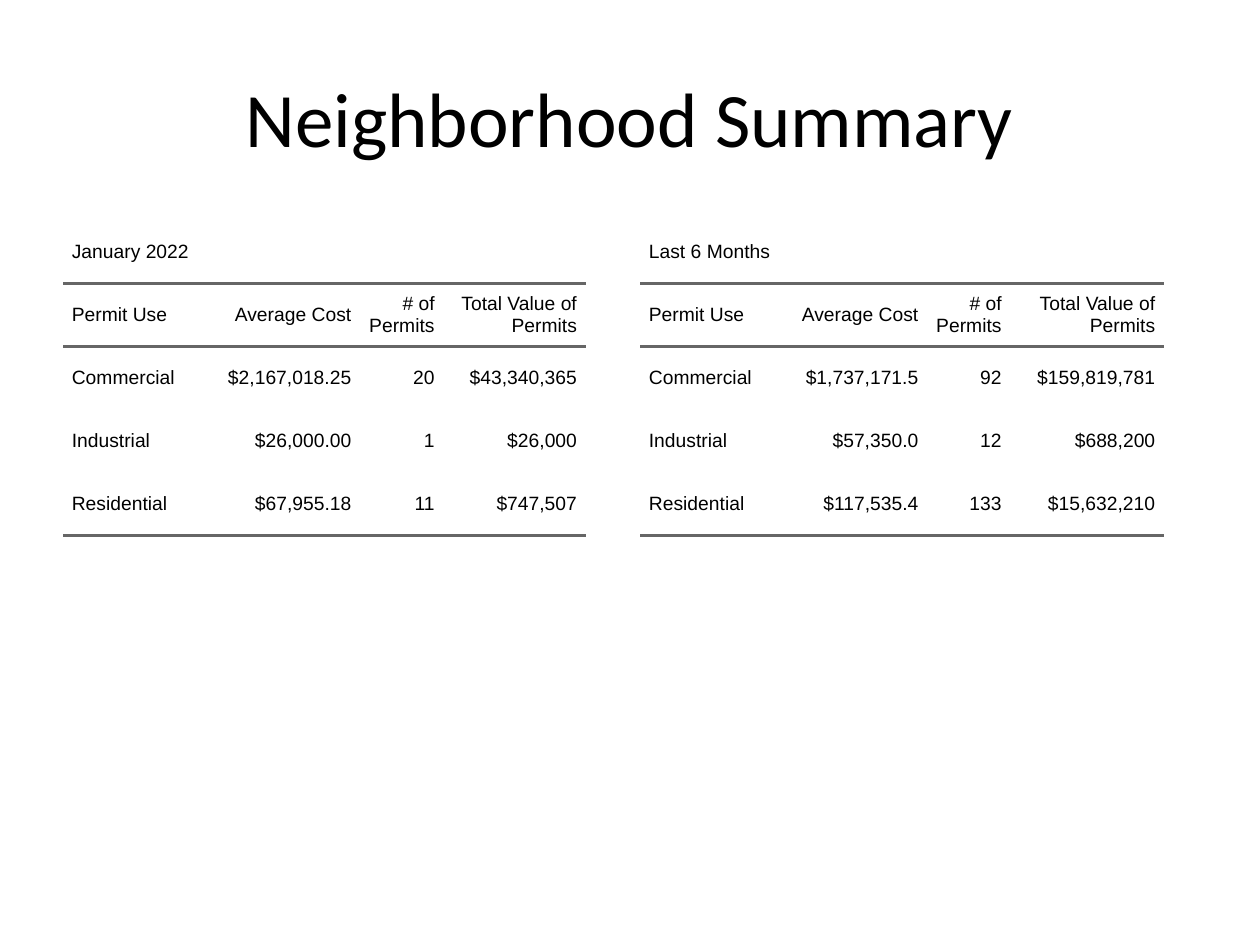
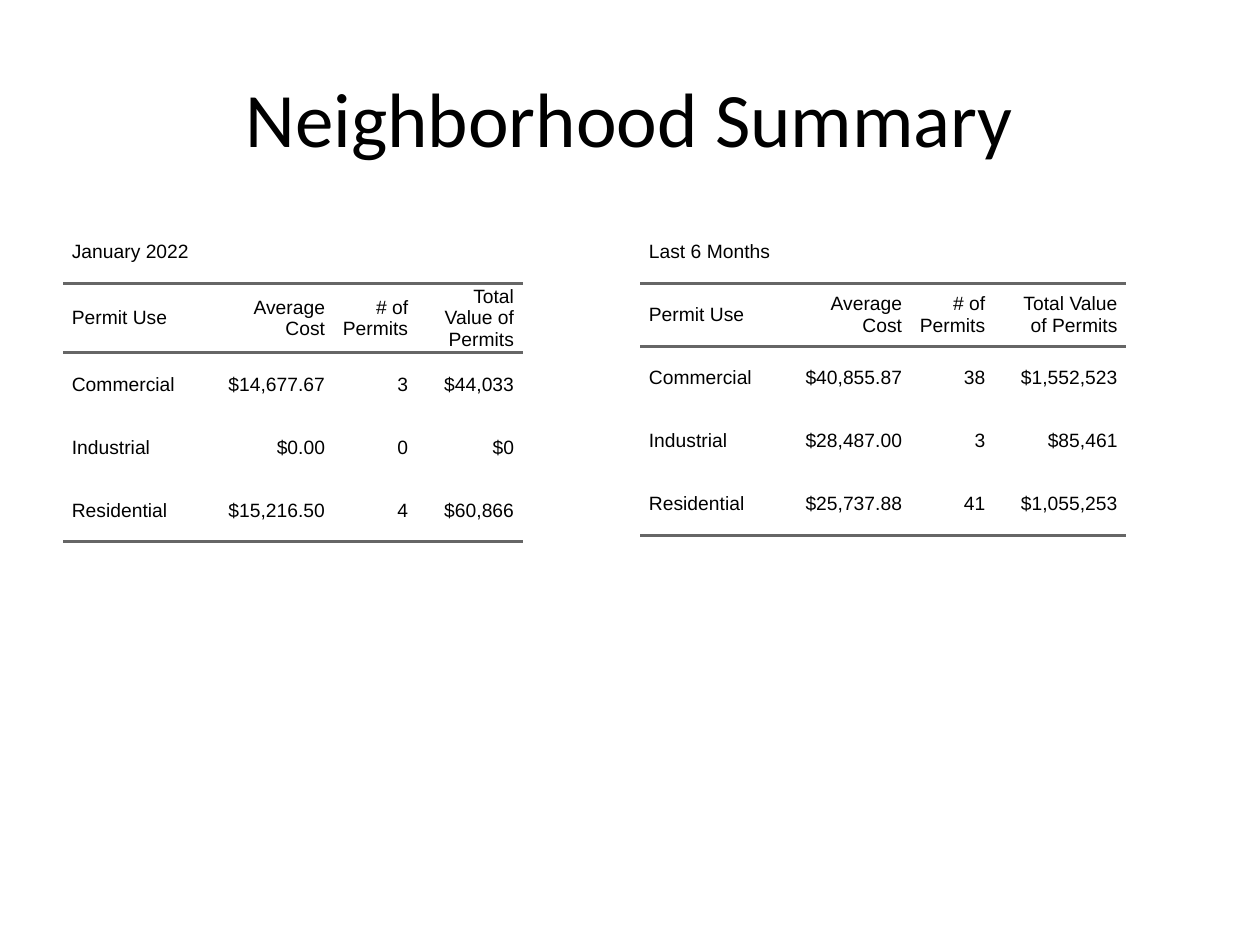
from lxml.etree import SubElement as Sub
from pptx import Presentation
from pptx.dml.color import RGBColor as Rgb
from pptx.enum.text import MSO_ANCHOR as Anchor, PP_ALIGN as Align
from pptx.oxml.ns import qn
from pptx.util import Inches, Pt

HUES = {"text": "000000", "rule": "666666"}
WIDE, HIGH = Inches(10), Inches(7.5)
COL, ROW = WIDE / 100, HIGH / 15  # grid: 100 columns by 15 rows
PLAIN = "{2D5ABB26-0587-4C30-8999-92F81FD0307C}"  # no style, no grid

TITLE = "Neighborhood Summary"
TITLE_BOX = (5, 0.6, 90, 2.5)
LEFT_BOX = (5, 3.5, 44.2, 9.9)
RIGHT_BOX = (50.8, 3.5, 44.2, 9.9)
HEAD = ("Permit Use", "Average Cost", "# of Permits", "Total Value of Permits")
USES = ("Commercial", "Industrial", "Residential")
MONTH, HALF = "January 2022", "Last 6 Months"

# Each slide: (box, caption, column widths, figures per permit use)
SLIDES = [
    [
        (LEFT_BOX, MONTH, (11, 12.6, 6.6, 11.3), [
            ("$2,167,018.25", "20", "$43,340,365"),
            ("$26,000.00", "1", "$26,000"),
            ("$67,955.18", "11", "$747,507")]),
        (RIGHT_BOX, HALF, (11, 11.8, 6.6, 12.2), [
            ("$1,737,171.5", "92", "$159,819,781"),
            ("$57,350.0", "12", "$688,200"),
            ("$117,535.4", "133", "$15,632,210")]),
    ],
    [
        (LEFT_BOX, MONTH, (11, 10.5, 6.6, 8.4), [
            ("$14,677.67", "3", "$44,033"),
            ("$0.00", "0", "$0"),
            ("$15,216.50", "4", "$60,866")]),
        (RIGHT_BOX, HALF, (11, 10.5, 6.6, 10.5), [
            ("$40,855.87", "38", "$1,552,523"),
            ("$28,487.00", "3", "$85,461"),
            ("$25,737.88", "41", "$1,055,253")]),
    ],
]


def place(box):
    """Turn a box in grid units into lengths."""
    x, y, w, h = box
    return [int(n) for n in (x * COL, y * ROW, w * COL, h * ROW)]


def write(frame, text, font="Arial", size=11, align=Align.LEFT, pad=0):
    frame.word_wrap = True
    para = frame.paragraphs[0]
    para.alignment = align
    if pad:
        props = para._p.get_or_add_pPr()
        for side in ("marL", "marR"):
            props.set(side, str(Inches(pad)))
    run = para.add_run()
    run.text = text
    run.font.name, run.font.size = font, Pt(size)
    run.font.color.rgb = Rgb.from_string(HUES["text"])


def rule(cell, sides):
    """Draw the named borders of a cell: T top, B bottom."""
    props = cell._tc.get_or_add_tcPr()
    for side in sides:
        line = Sub(props, qn(f"a:ln{side}"), w=str(Pt(2)))
        fill = Sub(line, qn("a:solidFill"))
        Sub(fill, qn("a:srgbClr"), val=HUES["rule"])


def head(slide, box):
    shape = slide.shapes.add_textbox(*place(box))
    shape.text_frame.vertical_anchor = Anchor.MIDDLE
    write(shape.text_frame, TITLE, font="Calibri", size=44, align=Align.CENTER)


def grid(slide, box, label, widths, data):
    rows = [(label,), HEAD] + [(use, *nums) for use, nums in zip(USES, data)]
    spot = place(box)
    frame = slide.shapes.add_table(len(rows), len(HEAD), *spot)
    table = frame.table
    table.first_row = table.horz_banding = False
    table._tbl.tblPr.find(qn("a:tableStyleId")).text = PLAIN
    for col, wide in zip(table.columns, widths):
        col.width = int(wide * COL)
    for row in table.rows:
        row.height = int(ROW)
    frame.width, frame.height = spot[2:]

    # Caption row spans the table
    table.cell(0, 0).merge(table.cell(0, len(HEAD) - 1))

    # Rules go round the header and under the last row
    lines = {1: "TB", len(rows) - 1: "B"}
    for r, row in enumerate(rows):
        for c, text in enumerate(row):
            cell = table.cell(r, c)
            cell.margin_left = cell.margin_right = 0
            cell.margin_top = cell.margin_bottom = 0
            cell.vertical_anchor = Anchor.MIDDLE
            rule(cell, lines.get(r, ""))
            cell.fill.background()
            write(cell.text_frame, text, pad=0.07,
                  align=Align.RIGHT if c else Align.LEFT)


def main():
    deck = Presentation()
    deck.slide_width, deck.slide_height = WIDE, HIGH
    for tables in SLIDES:
        slide = deck.slides.add_slide(deck.slide_layouts[6])
        for parts in tables:
            grid(slide, *parts)
        head(slide, TITLE_BOX)
    deck.save("out.pptx")


if __name__ == "__main__":
    main()
